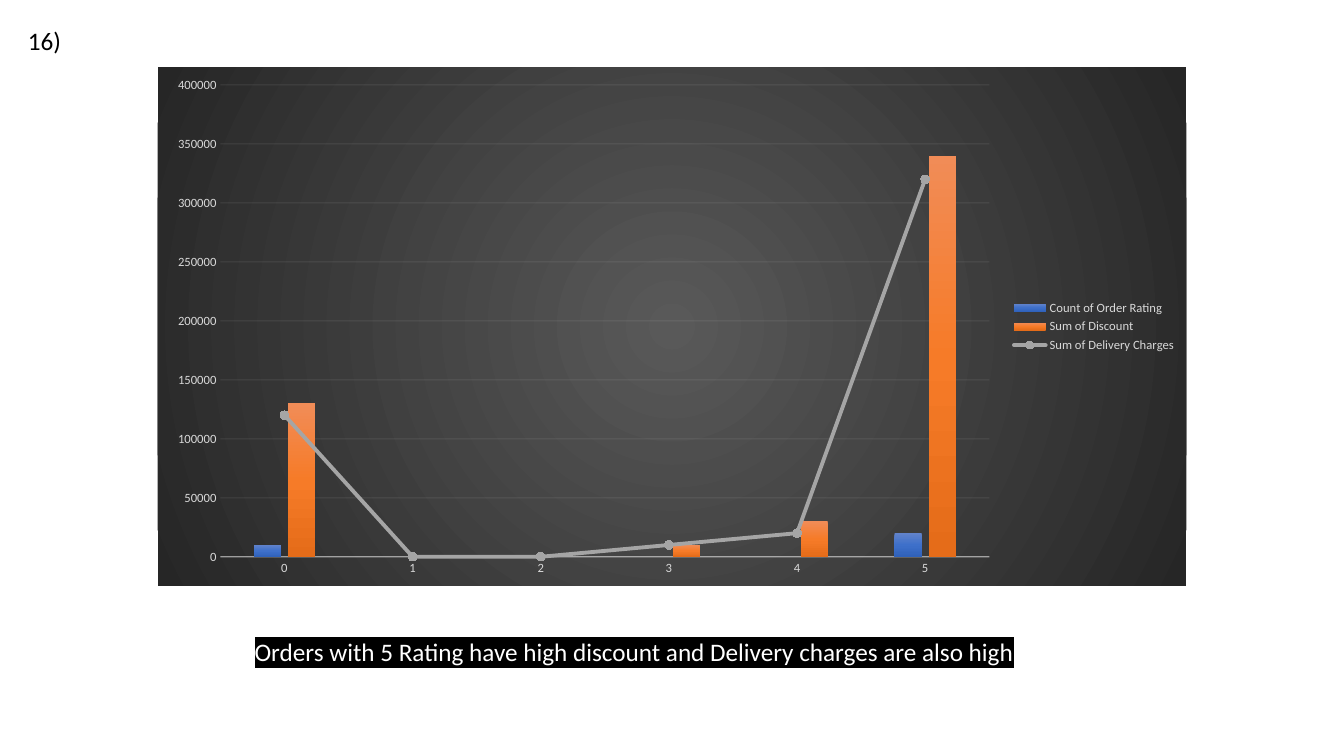
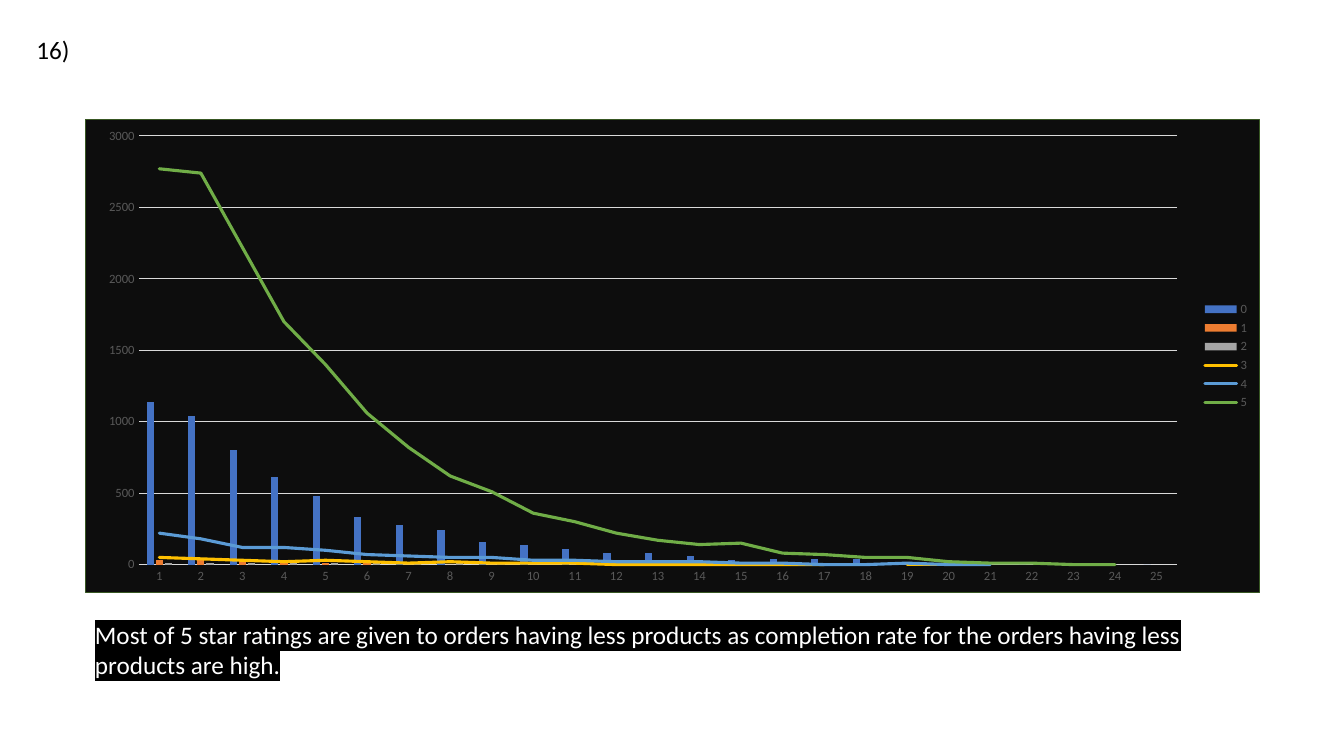
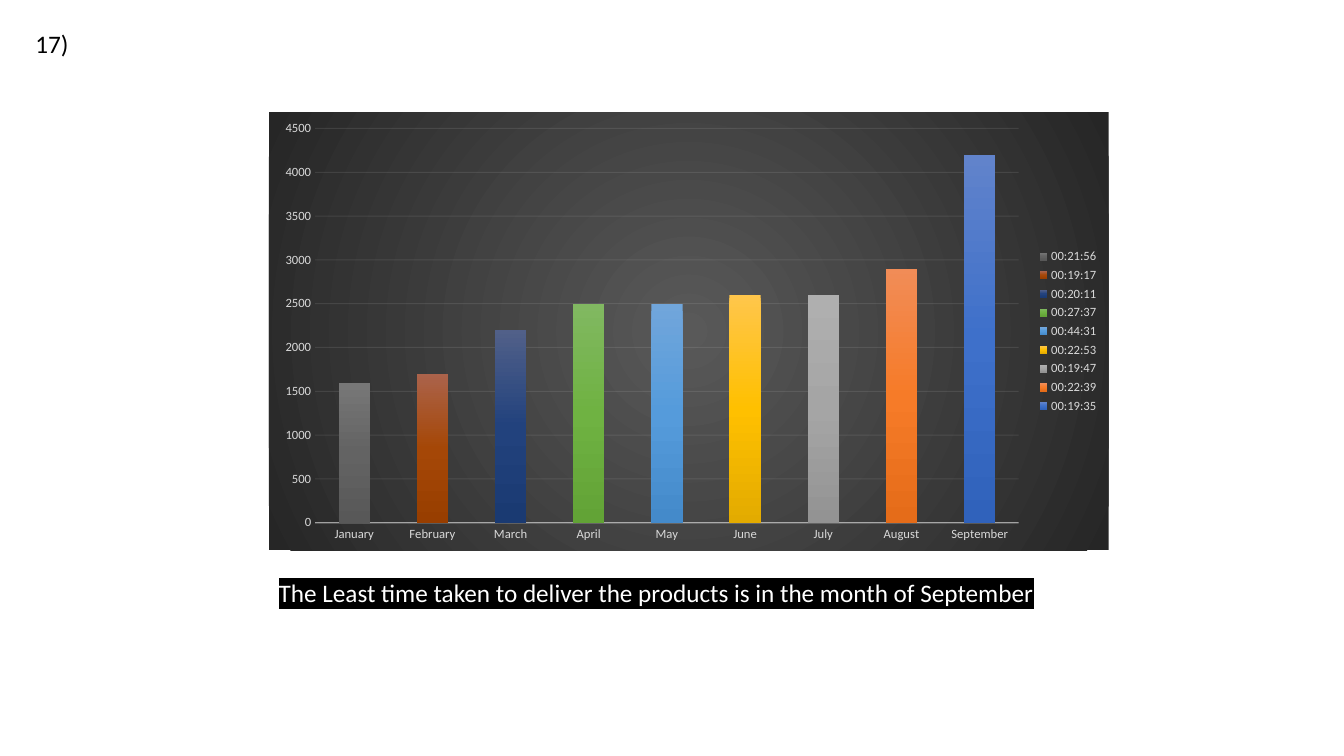
from dataclasses import dataclass, field
from typing import Optional, Union

from lxml.etree import SubElement
from pptx import Presentation
from pptx.chart.data import CategoryChartData
from pptx.dml.color import RGBColor
from pptx.enum.chart import XL_CHART_TYPE as ChartType
from pptx.enum.chart import XL_LEGEND_POSITION as LegendPosition
from pptx.enum.chart import XL_MARKER_STYLE as MarkerStyle
from pptx.enum.chart import XL_TICK_MARK as TickMark
from pptx.enum.text import MSO_ANCHOR as Anchor
from pptx.enum.text import MSO_AUTO_SIZE as AutoSize
from pptx.enum.text import PP_ALIGN as Align
from pptx.oxml import parse_xml
from pptx.oxml.ns import nsdecls, qn
from pptx.util import Emu, Pt

EMU_PER_PX = 9525
TITLE_ONLY_LAYOUT = 5


@dataclass(frozen=True)
class Gradient:
    stops: tuple[str, ...]
    circular: bool = False


Paint = Union[str, Gradient]


@dataclass(frozen=True)
class Theme:
    font: str = "Calibri"
    text_size: int = 18
    chart_size: int = 10
    label_size: int = 9
    ink: str = "000000"
    paper: str = "FFFFFF"
    blue: str = "4472C4"
    orange: str = "ED7D31"
    grey: str = "A5A5A5"
    gold: str = "FFC000"
    sky: str = "5B9BD5"
    green: str = "70AD47"
    blue_shade: Gradient = Gradient(("6183CB", "3E70CA", "3062BB"))
    orange_shade: Gradient = Gradient(("F18C57", "F67B28", "E56C19"))
    grey_shade: Gradient = Gradient(("AFAFAF", "A5A5A5", "939393"))
    gold_shade: Gradient = Gradient(("FFC64B", "FFC000", "E3AB00"))
    sky_shade: Gradient = Gradient(("71A6DB", "559BDB", "448ACA"))
    green_shade: Gradient = Gradient(("81B861", "6FB242", "62A336"))
    navy_shade: Gradient = Gradient(("516089", "22427D", "1A3A72"))
    rust_shade: Gradient = Gradient(("AB634B", "A54707", "983E00"))
    dark_shade: Gradient = Gradient(("777777", "636363", "585858"))


THEME = Theme()


@dataclass(frozen=True)
class Box:
    left: int
    top: int
    width: int
    height: int

    def emu(self) -> tuple[Emu, ...]:
        lengths = (self.left, self.top, self.width, self.height)
        return tuple(Emu(length * EMU_PER_PX) for length in lengths)


@dataclass(frozen=True)
class Stroke:
    color: str
    width: float
    opacity: int = 100


@dataclass(frozen=True)
class ChartStyle:
    background: Paint
    label_color: str
    axis: Stroke
    grid: Stroke
    border: Optional[Stroke] = None


@dataclass(frozen=True)
class Series:
    name: str
    values: list[Optional[int]]
    paint: Paint
    line_width: float = 0
    marker_size: int = 0


@dataclass(frozen=True)
class ChartSpec:
    box: Box
    style: ChartStyle
    categories: list[str]
    series: list[Series]
    gap: int
    overlap: int = -27
    kind: ChartType = field(default=ChartType.COLUMN_CLUSTERED)


@dataclass(frozen=True)
class SlideSpec:
    number: str
    number_box: Box
    caption: str
    caption_box: Box
    chart: ChartSpec


@dataclass(frozen=True)
class MonthBar:
    month: str
    time: str
    value: int
    paint: Gradient


SPOTLIGHT = ChartStyle(
    background=Gradient(("595959", "262626"), circular=True),
    label_color="D9D9D9",
    axis=Stroke("F2F2F2", 1, 54),
    grid=Stroke("F2F2F2", 0.75, 10),
)
FLAT_BLACK = ChartStyle(
    background="0D0D0D",
    label_color="595959",
    axis=Stroke("D9D9D9", 0.75),
    grid=Stroke("D9D9D9", 0.75),
    border=Stroke("385723", 0.75),
)

MONTH_BARS = [
    MonthBar("January", "00:21:56", 1600, THEME.dark_shade),
    MonthBar("February", "00:19:17", 1700, THEME.rust_shade),
    MonthBar("March", "00:20:11", 2200, THEME.navy_shade),
    MonthBar("April", "00:27:37", 2500, THEME.green_shade),
    MonthBar("May", "00:44:31", 2500, THEME.sky_shade),
    MonthBar("June", "00:22:53", 2600, THEME.gold_shade),
    MonthBar("July", "00:19:47", 2600, THEME.grey_shade),
    MonthBar("August", "00:22:39", 2900, THEME.orange_shade),
    MonthBar("September", "00:19:35", 4200, THEME.blue_shade),
]


def month_series() -> list[Series]:
    """One series per month, latest first, each filled only in its own month."""
    return [
        Series(bar.time, [bar.value if other is bar else None for other in MONTH_BARS], bar.paint)
        for bar in reversed(MONTH_BARS)
    ]


DISCOUNT_CHART = ChartSpec(
    Box(150, 64, 980, 494), SPOTLIGHT, [str(rating) for rating in range(6)],
    [
        Series("Count of Order Rating", [10000, 0, 0, 0, 0, 20000], THEME.blue_shade),
        Series("Sum of Discount", [130000, 0, 0, 10000, 30000, 340000], THEME.orange_shade),
        Series("Sum of Delivery Charges", [120000, 0, 0, 10000, 20000, 320000],
               THEME.grey, line_width=2.75, marker_size=6),
    ],
    gap=247,
)

PRODUCTS_CHART = ChartSpec(
    Box(81, 113, 1119, 452), FLAT_BLACK, [str(count) for count in range(1, 26)],
    [
        Series("0", [1140, 1040, 800, 610, 480, 330, 280, 240, 160, 140, 110, 80, 80, 60,
                     30, 40, 40, 40, 10, 10, 0, 0, 0, 0, 0], THEME.blue),
        Series("1", [30, 30, 30, 20, 10, 10, 0, 0, 0, 0, 0, 0, None, 0, 0, 0, 0,
                     None, None, None, 0, *[None] * 4], THEME.orange),
        Series("2", [*[10] * 9, None, 0, None, None, None, 0, *[None] * 10], THEME.grey),
        Series("3", [50, 40, 30, 20, 30, 20, 10, 20, 10, 10, 10, 0, 0, 0, 0, 0, 0,
                     None, 0, 0, *[None] * 5], THEME.gold, line_width=2.25),
        Series("4", [220, 180, 120, 120, 100, 70, 60, 50, 50, 30, 30, 20, 20, 20, 10, 10,
                     0, 0, 10, 0, 0, *[None] * 4], THEME.sky, line_width=2.25),
        Series("5", [2770, 2740, 2220, 1700, 1400, 1060, 820, 620, 510, 360, 300, 220, 170,
                     140, 150, 80, 70, 50, 50, 20, 10, 10, 0, 0, None],
               THEME.green, line_width=2.25),
    ],
    gap=219,
)

MONTHS_CHART = ChartSpec(
    Box(256, 107, 800, 417), SPOTLIGHT, [bar.month for bar in MONTH_BARS], month_series(),
    gap=150, overlap=100, kind=ChartType.COLUMN_STACKED,
)

SLIDES = [
    SlideSpec(
        "16)", Box(17, 19, 640, 38),
        "Orders with 5 Rating have high discount and Delivery charges are also high",
        Box(233, 601, 787, 38), DISCOUNT_CHART,
    ),
    SlideSpec(
        "16)", Box(25, 28, 56, 68),
        "Most of 5 star ratings are given to orders having less products as completion rate "
        "for the orders having less products are high.",
        Box(81, 585, 1107, 68), PRODUCTS_CHART,
    ),
    SlideSpec(
        "17)", Box(24, 22, 640, 38),
        "The Least time taken to deliver the products is in the month of September",
        Box(256, 545, 785, 38), MONTHS_CHART,
    ),
]


def set_font(font, size: int, color: str) -> None:
    font.name = THEME.font
    font.size = Pt(size)
    font.color.rgb = RGBColor.from_string(color)


def write_text(shape, text: str, box: Box, color: str, highlight: Optional[str] = None) -> None:
    shape.left, shape.top, shape.width, shape.height = box.emu()
    frame = shape.text_frame
    frame.word_wrap = True
    frame.auto_size = AutoSize.SHAPE_TO_FIT_TEXT
    frame.vertical_anchor = Anchor.TOP
    paragraph = frame.paragraphs[0]
    paragraph.alignment = Align.LEFT
    run = paragraph.add_run()
    run.text = text
    set_font(run.font, THEME.text_size, color)
    if highlight:
        mark = parse_xml(
            f'<a:highlight {nsdecls("a")}><a:srgbClr val="{highlight}"/></a:highlight>')
        run._r.get_or_add_rPr().find(qn("a:latin")).addprevious(mark)


def fill_element(paint: Paint):
    if isinstance(paint, str):
        return parse_xml(
            f'<a:solidFill {nsdecls("a")}><a:srgbClr val="{paint}"/></a:solidFill>')
    step = 100000 // (len(paint.stops) - 1)
    stops = "".join(
        f'<a:gs pos="{index * step}"><a:srgbClr val="{color}"/></a:gs>'
        for index, color in enumerate(paint.stops))
    direction = (
        '<a:path path="circle"><a:fillToRect l="50000" t="50000" r="50000" b="50000"/></a:path>'
        if paint.circular else '<a:lin ang="5400000" scaled="0"/>')
    return parse_xml(
        f'<a:gradFill {nsdecls("a")}><a:gsLst>{stops}</a:gsLst>{direction}</a:gradFill>')


def set_line(line, stroke: Stroke) -> None:
    line.color.rgb = RGBColor.from_string(stroke.color)
    line.width = Pt(stroke.width)
    if stroke.opacity < 100:
        color = line._get_or_add_ln().find(".//" + qn("a:srgbClr"))
        SubElement(color, qn("a:alpha")).set("val", str(stroke.opacity * 1000))


def paint_chart_area(chart, style: ChartStyle) -> None:
    properties = parse_xml(f'<c:spPr {nsdecls("c", "a")}><a:ln/></c:spPr>')
    properties.insert(0, fill_element(style.background))
    outline = properties.find(qn("a:ln"))
    if style.border:
        outline.set("w", str(Pt(style.border.width)))
        outline.append(fill_element(style.border.color))
    else:
        SubElement(outline, qn("a:noFill"))
    chart._chartSpace.find(qn("c:chart")).addnext(properties)


def move_to_line_plot(chart, line_names: set[str]) -> None:
    """Take the named series out of the bar plot into a line plot on the same axes."""
    bar_plot = chart.plots[0]
    bar_element = bar_plot._element
    line_element = parse_xml(
        f'<c:lineChart {nsdecls("c")}><c:grouping val="standard"/>'
        '<c:varyColors val="0"/><c:marker val="1"/></c:lineChart>')
    marker = line_element.find(qn("c:marker"))
    for series in list(bar_plot.series):
        if series.name in line_names:
            element = series._element
            for bar_only in element.findall(qn("c:invertIfNegative")):
                element.remove(bar_only)
            marker.addprevious(element)
    for axis_id in bar_element.findall(qn("c:axId")):
        SubElement(line_element, qn("c:axId")).set("val", axis_id.get("val"))
    bar_element.addnext(line_element)


def format_line_series(series, spec: Series) -> None:
    series.smooth = False
    set_line(series.format.line, Stroke(spec.paint, spec.line_width))
    series.format.line._get_or_add_ln().set("cap", "rnd")
    marker = series.marker
    if not spec.marker_size:
        marker.style = MarkerStyle.NONE
        return
    marker.style = MarkerStyle.CIRCLE
    marker.size = spec.marker_size
    marker.format.fill.solid()
    marker.format.fill.fore_color.rgb = RGBColor.from_string(spec.paint)
    set_line(marker.format.line, Stroke(spec.paint, 0.75))


def format_axes(chart, style: ChartStyle) -> None:
    for axis in (chart.category_axis, chart.value_axis):
        axis.major_tick_mark = axis.minor_tick_mark = TickMark.NONE
        set_font(axis.tick_labels.font, THEME.label_size, style.label_color)
    set_line(chart.category_axis.format.line, style.axis)
    chart.value_axis.format.line.fill.background()
    chart.value_axis.has_major_gridlines = True
    set_line(chart.value_axis.major_gridlines.format.line, style.grid)


def add_chart(slide, spec: ChartSpec) -> None:
    data = CategoryChartData()
    data.categories = spec.categories
    for series in spec.series:
        data.add_series(series.name, series.values)
    chart = slide.shapes.add_chart(spec.kind, *spec.box.emu(), data).chart
    chart.has_title = False
    set_font(chart.font, THEME.chart_size, THEME.ink)
    paint_chart_area(chart, spec.style)
    format_axes(chart, spec.style)

    chart.has_legend = True
    chart.legend.position = LegendPosition.RIGHT
    chart.legend.include_in_layout = False
    set_font(chart.legend.font, THEME.label_size, spec.style.label_color)

    bars = chart.plots[0]
    bars.vary_by_categories = False
    bars.gap_width = spec.gap
    bars.overlap = spec.overlap
    line_names = {series.name for series in spec.series if series.line_width}
    if line_names:
        move_to_line_plot(chart, line_names)

    specs_by_name = {series.name: series for series in spec.series}
    for plot in chart.plots:
        for series in plot.series:
            series_spec = specs_by_name[series.name]
            if series_spec.line_width:
                format_line_series(series, series_spec)
            else:
                series.invert_if_negative = False
                series._element.get_or_add_spPr().insert(0, fill_element(series_spec.paint))


def add_slide(presentation, spec: SlideSpec) -> None:
    slide = presentation.slides.add_slide(presentation.slide_layouts[TITLE_ONLY_LAYOUT])
    add_chart(slide, spec.chart)
    write_text(slide.shapes.title, spec.number, spec.number_box, THEME.ink)
    caption = slide.shapes.add_textbox(*spec.caption_box.emu())
    write_text(caption, spec.caption, spec.caption_box, THEME.paper, highlight=THEME.ink)


def main() -> None:
    presentation = Presentation()
    presentation.slide_width = Emu(1280 * EMU_PER_PX)
    presentation.slide_height = Emu(720 * EMU_PER_PX)
    for spec in SLIDES:
        add_slide(presentation, spec)
    presentation.save("out.pptx")


if __name__ == "__main__":
    main()
